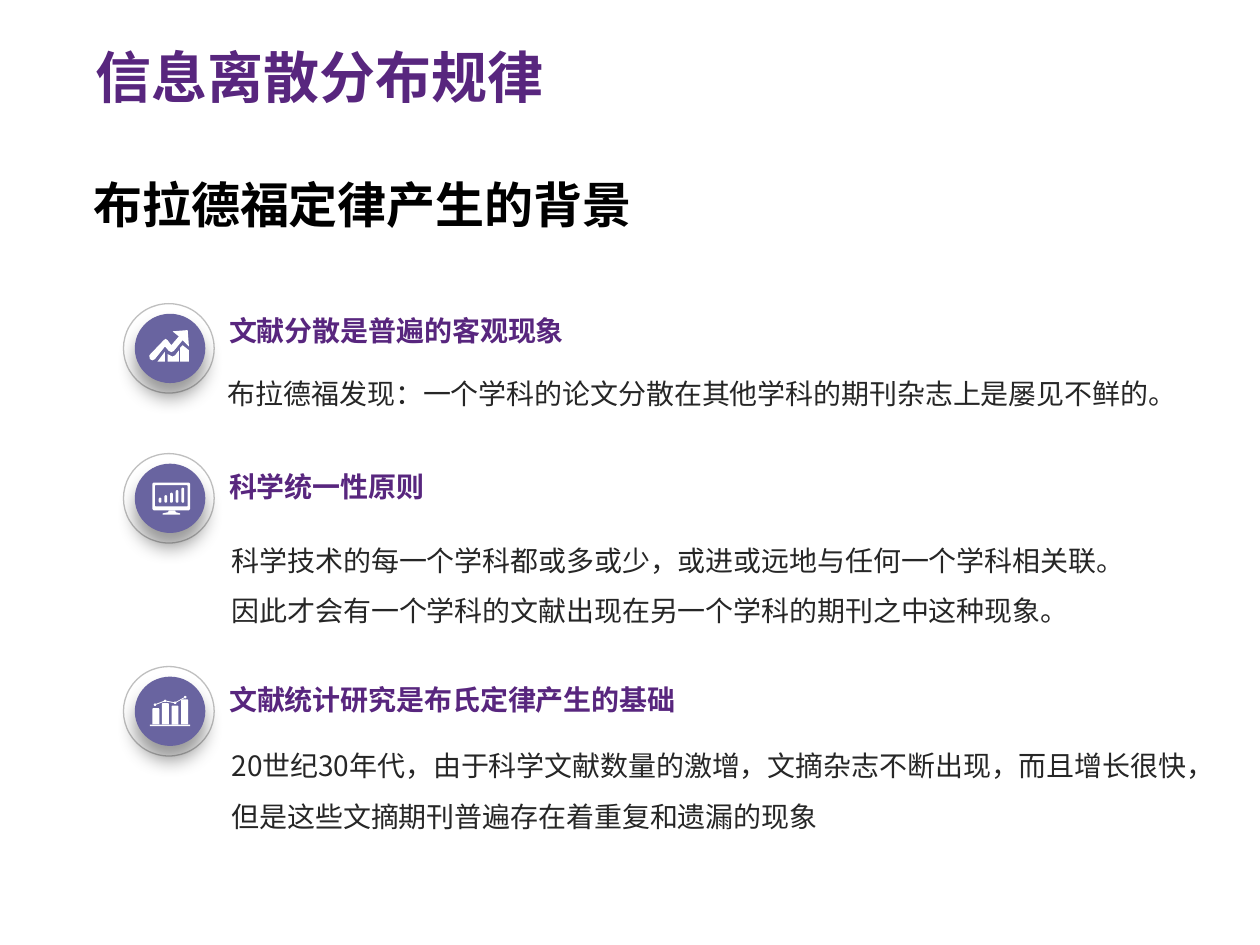
import dataclasses

import lxml.etree
import pptx
import pptx.dml.color
import pptx.enum.shapes
import pptx.enum.text
import pptx.oxml.ns
import pptx.util

SHAPE = pptx.enum.shapes.MSO_SHAPE
ANCHOR = pptx.enum.text.MSO_ANCHOR
FIT = pptx.enum.text.MSO_AUTO_SIZE
COLUMNS, ROWS = 100, 75


@dataclasses.dataclass(frozen=True)
class Theme:
    """Colours, fonts and type sizes of the deck."""
    purple: str = "58267E"
    badge: str = "6964A0"
    ring: str = "BFBFBF"
    ink: str = "262626"
    black: str = "000000"
    white: str = "FFFFFF"
    body_font: str = "Noto Sans CJK SC"
    section_size: int = 32
    title_size: int = 28
    body_size: int = 16


THEME = Theme()


def grid(*lengths):
    """Turn grid columns or rows into slide lengths."""
    return [pptx.util.Inches(10 / COLUMNS * length) for length in lengths]


def rgb(value):
    """Return a colour object for a hex value."""
    return pptx.dml.color.RGBColor.from_string(value)


def write(box, text, size, colour, font, bold=False, spacing=None, anchor=ANCHOR.TOP):
    """Write one left-aligned paragraph into a box."""
    frame = box.text_frame
    frame.word_wrap = True
    frame.vertical_anchor = anchor
    para = frame.paragraphs[0]
    para.alignment = pptx.enum.text.PP_ALIGN.LEFT
    if spacing:
        para.line_spacing = spacing
    span = para.add_run()
    span.text = text
    span.font.size = pptx.util.Pt(size)
    span.font.bold = bold
    span.font.name = font
    span.font.color.rgb = rgb(colour)
    east = lxml.etree.SubElement(span.font._element, pptx.oxml.ns.qn("a:ea"))
    east.set("typeface", THEME.body_font)


def paint(shape, fill=None, line=None):
    """Set fill and outline, and remove the default shadow."""
    shape.shadow.inherit = False
    if fill:
        shape.fill.solid()
        shape.fill.fore_color.rgb = rgb(fill)
    else:
        shape.fill.background()
    if line:
        shape.line.color.rgb = rgb(line)
        shape.line.width = pptx.util.Pt(0.75)
    else:
        shape.line.fill.background()
    return shape


def preset(page, kind, left, top, width, height, fill=THEME.white, line=None):
    """Add a painted preset shape at a grid position."""
    shape = page.shapes.add_shape(kind, *grid(left, top, width, height))
    return paint(shape, fill, line)


def outline(page, left, top, *contours):
    """Add a white freeform whose contours are relative to a grid position."""
    placed = [[grid(left + x, top + y) for x, y in contour] for contour in contours]
    builder = page.shapes.build_freeform(*placed[0][0])
    builder.add_line_segments(placed[0][1:], close=True)
    for contour in placed[1:]:
        builder.move_to(*contour[0])
        builder.add_line_segments(contour[1:], close=True)
    return paint(builder.convert_to_shape(), THEME.white)


def cast_shadow(shape):
    """Give a shape a soft shadow straight below it."""
    effects = shape._element.spPr.find(pptx.oxml.ns.qn("a:effectLst"))
    shadow = lxml.etree.SubElement(effects, pptx.oxml.ns.qn("a:outerShdw"))
    for name, value in (("blurRad", pptx.util.Pt(11)), ("dist", pptx.util.Pt(8)),
                        ("dir", 5400000), ("algn", "t"), ("rotWithShape", 0)):
        shadow.set(name, str(value))
    colour = lxml.etree.SubElement(shadow, pptx.oxml.ns.qn("a:srgbClr"), val=THEME.black)
    lxml.etree.SubElement(colour, pptx.oxml.ns.qn("a:alpha"), val="40000")


def chamfered(left, top, right, bottom, cut):
    """Return a rectangle's corner points with the corners cut."""
    return [(left + cut, top), (right - cut, top), (right, top + cut),
            (right, bottom - cut), (right - cut, bottom), (left + cut, bottom),
            (left, bottom - cut), (left, top + cut)]


def growth_icon(page, left, top):
    """Draw a rising arrow over three areas."""
    arrow = [(3.3, 3.4), (2.5, 4.4), (2.3, 4.5), (2.1, 4.4), (2.05, 4.1), (3.2, 2.9),
             (3.35, 2.8), (3.5, 2.9), (3.8, 3.3), (4.4, 2.6), (3.9, 2.2), (5.1, 2.1),
             (5.2, 3.4), (4.7, 2.9), (4, 3.75), (3.8, 3.85), (3.6, 3.75)]
    areas = ([(4.7, 3.3), (5.2, 3.7), (5.2, 4.6), (4.5, 4.6), (4.5, 3.5)],
             [(3.5, 4), (3.9, 4.2), (4.1, 4.1), (4.4, 3.7), (4.4, 4.6), (3.5, 4.6)],
             [(2.7, 4.6), (3.3, 4.6), (3.3, 3.8)])
    for points in (arrow, *areas):
        outline(page, left, top, points)


def monitor_icon(page, left, top):
    """Draw a monitor showing five growing bars."""
    outline(page, left, top, chamfered(2.3, 2.3, 5.3, 4.5, 0.1),
            chamfered(2.5, 2.5, 5.1, 4.2, 0.05))
    outline(page, left, top, [(3.6, 4.5), (4.1, 4.5), (4.15, 4.65), (4.5, 4.75),
                              (4.5, 4.85), (3.1, 4.85), (3.1, 4.75), (3.55, 4.65)])
    for index in range(5):
        height = 0.4 + 0.2 * index
        bar = preset(page, SHAPE.ROUNDED_RECTANGLE, left + 2.8 + 0.45 * index,
                     top + 3.9 - height, 0.22, height)
        bar.adjustments[0] = 0.5


def columns_icon(page, left, top):
    """Draw four columns on a base under a trend line."""
    for index, column_top in enumerate((3.3, 2.9, 3.1, 2.6)):
        preset(page, SHAPE.ROUND_2_SAME_RECTANGLE, left + 2.3 + 0.76 * index,
               top + column_top, 0.55, 4.6 - column_top)
    preset(page, SHAPE.RECTANGLE, left + 2.1, top + 4.6, 3.2, 0.13)
    trend = [(2.5, 3), (3.3, 2.7), (4.1, 2.85), (4.9, 2.4)]
    outline(page, left, top, trend + [(x, y + 0.07) for x, y in reversed(trend)])
    for x, y in trend:
        preset(page, SHAPE.OVAL, left + x - 0.1, top + y - 0.07, 0.2, 0.2)


def headings(page, section, title):
    """Place the section name and the page title."""
    box = page.shapes.add_textbox(*grid(6.6, 2.9, 93.4, 6.3))
    write(box, section, THEME.section_size, THEME.purple, "Arial", True, anchor=ANCHOR.BOTTOM)
    holder = page.shapes.title
    holder.left, holder.top, holder.width, holder.height = grid(6.4, 13.9, 93.4, 4.6)
    write(holder, title, THEME.title_size, THEME.black, "Calibri", True, anchor=ANCHOR.MIDDLE)


def topic(page, left, top, icon, head, head_box, body, body_box):
    """Place a badge with its icon, heading and explanation."""
    preset(page, SHAPE.OVAL, left, top, 7.2, 7.1, None, THEME.ring)
    cast_shadow(preset(page, SHAPE.OVAL, left + 0.9, top + 0.8, 5.6, 5.5, THEME.badge))
    icon(page, left, top)
    for text, (x, y, width, height), colour, bold, spacing in (
            (body, body_box, THEME.ink, False, 1.5),
            (head, head_box, THEME.purple, True, None)):
        box = page.shapes.add_textbox(*grid(left + x, top + y, width, height))
        write(box, text, THEME.body_size, colour, THEME.body_font, bold, spacing)
        box.text_frame.auto_size = FIT.SHAPE_TO_FIT_TEXT


def main():
    """Build and save the deck."""
    deck = pptx.Presentation()
    deck.slide_width, deck.slide_height = grid(COLUMNS, ROWS)
    page = deck.slides.add_slide(deck.slide_layouts[5])
    headings(page, "信息离散分布规律", "布拉德福定律产生的背景")
    topics = (
        (24.1, growth_icon, "文献分散是普遍的客观现象", (7.4, 0.3, 38, 3.7),
         "布拉德福发现：一个学科的论文分散在其他学科的期刊杂志上是屡见不鲜的。",
         (7.3, 4, 80.1, 5)),
        (36, monitor_icon, "科学统一性原则", (7.4, 0.8, 24.3, 3.7),
         "科学技术的每一个学科都或多或少，或进或远地与任何一个学科相关联。"
         "因此才会有一个学科的文献出现在另一个学科的期刊之中这种现象。",
         (7.6, 5.3, 71.2, 8.5)),
        (52.9, columns_icon, "文献统计研究是布氏定律产生的基础", (7.4, 0.8, 46.1, 3.7),
         "20世纪30年代，由于科学文献数量的激增，文摘杂志不断出现，而且增长很快，"
         "但是这些文摘期刊普遍存在着重复和遗漏的现象",
         (7.6, 4.7, 78.3, 8.5)),
    )
    for top, *parts in topics:
        topic(page, 9.8, top, *parts)
    deck.save("out.pptx")


if __name__ == "__main__":
    main()
